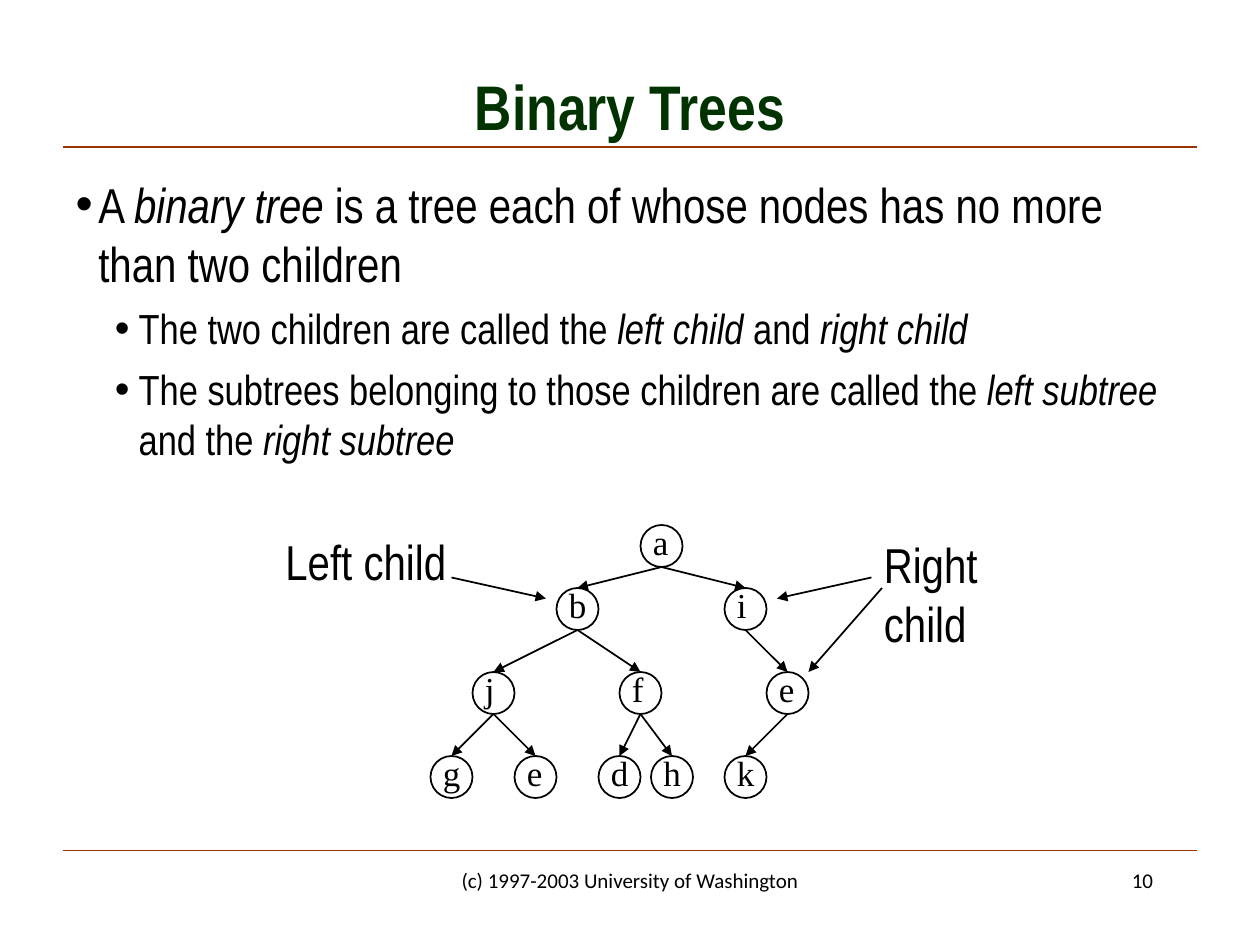
import pptx
import pptx.dml.color
import pptx.enum.shapes
import pptx.enum.text
import pptx.oxml
import pptx.oxml.ns
import pptx.util

Pt = pptx.util.Pt
RGBColor = pptx.dml.color.RGBColor
ALIGN = pptx.enum.text.PP_ALIGN
ANCHOR = pptx.enum.text.MSO_ANCHOR

BLACK = RGBColor(0x00, 0x00, 0x00)
GREEN = RGBColor(0x00, 0x33, 0x00)
RUST = RGBColor(0x99, 0x33, 0x00)
HEADING = "Arial Narrow"
SERIF = "Times New Roman"
FOOTER = "Calibri"

NODE = 24
LEVELS = [
    {"a": (120, "a")},
    {"b": (72, "b"), "i": (168, "i")},
    {"j": (24, "j"), "f": (108, "f"), "e": (192, "e")},
    {"g": (0, "g"), "e2": (48, "e"), "d": (96, "d"), "h": (126, "h"), "k": (168, "k")},
]
LEVEL_TOPS = [0, 36, 84, 132]
EDGES = ["a b", "a i", "b j", "b f", "i e", "j g", "j e2", "f d", "f h", "e k"]
LETTER_WIDTHS = {"a": 23, "e": 23, "i": 20, "j": 20, "f": 21}

BULLETS = [
    (0, "A *binary tree* is a tree each of whose nodes has no more than two children"),
    (1, "The two children are called the *left child* and *right child*"),
    (1, "The subtrees belonging to those children are called the "
        "*left subtree* and the *right subtree*"),
]
BULLET_STYLES = [
    {"size": 28, "before": 7, "left": 13, "hang": 13},
    {"size": 24, "before": 6, "left": 36, "hang": 13.5},
]


def add_xml(parent, tag, **attrs):
    el = pptx.oxml.parse_xml(f"<a:{tag} {pptx.oxml.ns.nsdecls('a')}/>")
    for name, value in attrs.items():
        el.set(name, str(value))
    parent.append(el)


def write(p, text, font=HEADING, size=28, color=BLACK, bold=False, align=ALIGN.LEFT):
    p.alignment = align
    for i, part in enumerate(text.split("*")):
        if part:
            r = p.add_run()
            r.text = part
            r.font.name = font
            r.font.size = Pt(size)
            r.font.color.rgb = color
            r.font.bold = bold
            r.font.italic = i % 2 == 1


def place(sp, x, y, w, h):
    sp.left, sp.top, sp.width, sp.height = Pt(x), Pt(y), Pt(w), Pt(h)


def add_label(shapes, text, x, y, w, h, wrap=False, **style):
    tf = shapes.add_textbox(Pt(x), Pt(y), Pt(w), Pt(h)).text_frame
    tf.word_wrap = wrap
    write(tf.paragraphs[0], text, **style)


def add_line(shapes, start, end, color=BLACK, width=1, arrow=True):
    cx = shapes.add_connector(pptx.enum.shapes.MSO_CONNECTOR.STRAIGHT,
                              *[Pt(v) for v in (*start, *end)])
    cx.line.color.rgb = color
    cx.line.width = Pt(width)
    if arrow:
        add_xml(cx.line._get_or_add_ln(), "tailEnd", type="triangle")
    add_xml(cx._element.spPr, "effectLst")


def add_title(s, x, y, w, h):
    sp = s.shapes.title
    place(sp, x, y, w, h)
    tf = sp.text_frame
    tf.auto_size = pptx.enum.text.MSO_AUTO_SIZE.NONE
    tf.vertical_anchor = ANCHOR.MIDDLE
    write(tf.paragraphs[0], "Binary Trees", size=36, color=GREEN, bold=True,
          align=ALIGN.CENTER)


def add_body(s, x, y, w, h):
    sp = s.placeholders[1]
    place(sp, x, y, w, h)
    tf = sp.text_frame
    tf.auto_size = pptx.enum.text.MSO_AUTO_SIZE.NONE
    tf.vertical_anchor = ANCHOR.TOP
    for i, (level, text) in enumerate(BULLETS):
        style = BULLET_STYLES[level]
        p = tf.add_paragraph() if i else tf.paragraphs[0]
        p.level = level
        p.space_before = Pt(style["before"])
        write(p, text, size=style["size"])
        pPr = p._p.get_or_add_pPr()
        pPr.set("marL", str(Pt(style["left"])))
        pPr.set("indent", str(-Pt(style["hang"])))
        add_xml(pPr, "buFont", typeface="Arial")
        add_xml(pPr, "buChar", char="•")


def add_node(shapes, letter, x, y):
    sp = shapes.add_shape(pptx.enum.shapes.MSO_SHAPE.OVAL, Pt(x), Pt(y), Pt(NODE), Pt(NODE))
    sp.shadow.inherit = False
    sp.fill.background()
    sp.line.color.rgb = BLACK
    sp.line.width = Pt(1)
    add_label(shapes, letter, x, y - 6, LETTER_WIDTHS.get(letter, 24.4), 31.5,
              font=SERIF, size=20)


def add_tree(s, x, y):
    shapes = s.shapes.add_group_shape().shapes
    corners = {}
    for top, level in zip(LEVEL_TOPS, LEVELS):
        for key, (left, letter) in level.items():
            corners[key] = (x + left, y + top)
            add_node(shapes, letter, *corners[key])
    for edge in EDGES:
        (px, py), (cx, cy) = [corners[key] for key in edge.split()]
        add_line(shapes, (px + NODE / 2, py + NODE), (cx + NODE / 2, cy))


def add_callouts(s, x, y):
    add_label(s.shapes, "Left child", x, y, 106, 41)
    add_label(s.shapes, "Right child", x + 342, y + 2, 121, 41)
    for start, end in [((102, 30), (156, 42)), ((342, 30), (288, 42)),
                       ((348, 36), (306, 84))]:
        add_line(s.shapes, (x + start[0], y + start[1]), (x + end[0], y + end[1]))


def add_footer(s, x, y, w, h):
    style = {"wrap": True, "font": FOOTER, "size": 12}
    add_label(s.shapes, "(c) 1997-2003 University of Washington",
              x + (w - 228) / 2, y, 228, h, align=ALIGN.CENTER, **style)
    add_label(s.shapes, "10", x + w - 168, y, 150, h, align=ALIGN.RIGHT, **style)


def main():
    prs = pptx.Presentation()
    prs.slide_width, prs.slide_height = Pt(720), Pt(540)
    s = prs.slides.add_slide(prs.slide_layouts[1])
    for y in (84, 486):
        add_line(s.shapes, (36, y), (684, y), color=RUST, width=0.75, arrow=False)
    add_title(s, 36, 36, 648, 48)
    add_body(s, 36, 96, 648, 384)
    add_tree(s, 246, 300)
    add_callouts(s, 156, 300)
    add_footer(s, 36, 492, 648, 36)
    prs.save("out.pptx")


if __name__ == "__main__":
    main()
